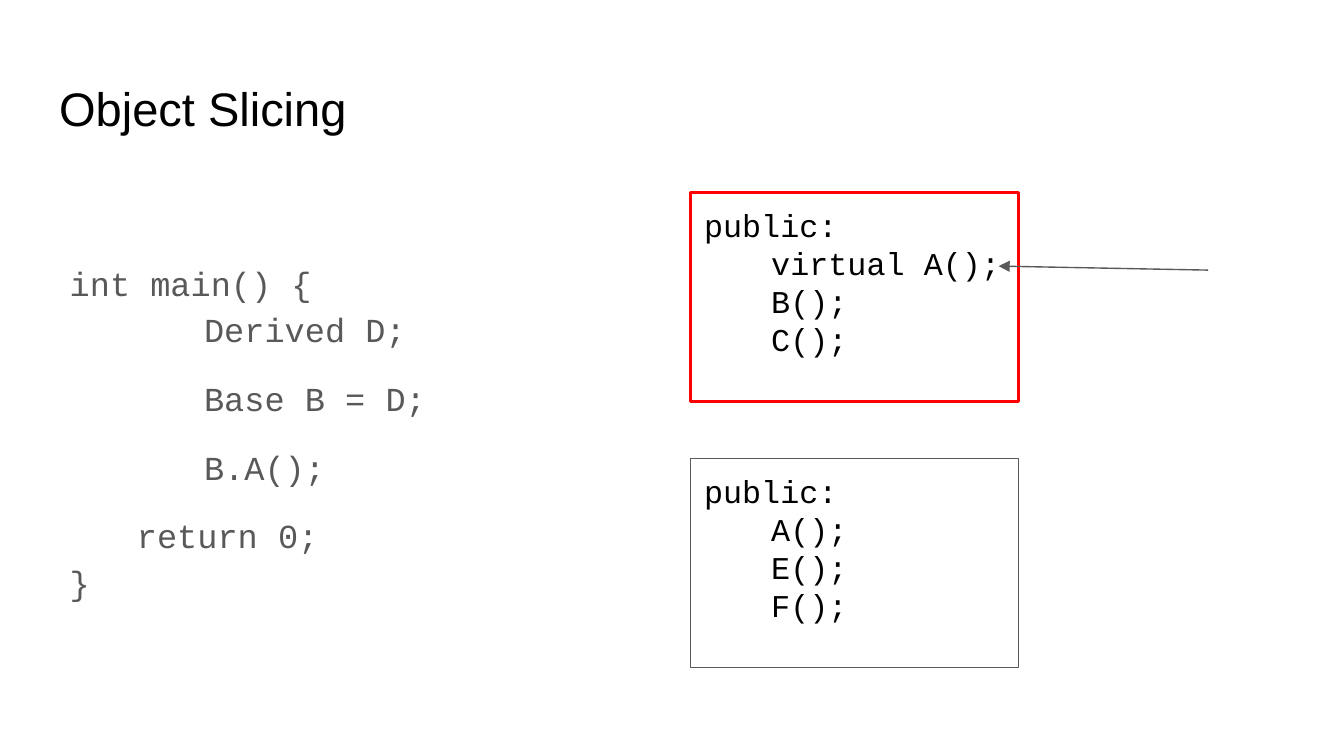
from dataclasses import dataclass

from lxml import etree
from pptx import Presentation
from pptx.dml.color import RGBColor
from pptx.enum.shapes import MSO_CONNECTOR, MSO_SHAPE
from pptx.enum.text import MSO_ANCHOR, PP_ALIGN
from pptx.oxml.ns import qn
from pptx.util import Inches, Pt

RECT = MSO_SHAPE.RECTANGLE
LINE = MSO_CONNECTOR.STRAIGHT
TOP = MSO_ANCHOR.TOP
LEFT = PP_ALIGN.LEFT
SANS, MONO = "Arial", "Courier New"
BLACK, GREY, RED = "000000", "595959", "FF0000"


@dataclass
class Row:
    text: str
    indent: float = 0
    before: float = 0
    after: float = 0


@dataclass
class Card:
    top: float
    edge: str
    width: float
    calls: list[str]


CODE = [
    Row("int main() {\n\tDerived D;"),
    Row("\tBase B = D;", before=12),
    Row("\tB.A();", before=12),
    Row("return 0;\n}", indent=0.5, before=12, after=12),
]
CARDS = [
    Card(1.43, RED, 1.5, ["virtual A();", "B();", "C();"]),
    Card(3.41, GREY, 0.75, ["A();", "E();", "F();"]),
]


def color(code: str) -> RGBColor:
    return RGBColor.from_string(code)


def write(shape, rows: list[Row], font: str, size: float, ink: str,
          space: float = 1) -> None:
    frame = shape.text_frame
    frame.word_wrap = True
    frame.vertical_anchor = TOP
    frame.margin_left = frame.margin_right = Inches(0.1)
    frame.margin_top = frame.margin_bottom = Inches(0.1)
    for i, row in enumerate(rows):
        para = frame.add_paragraph() if i else frame.paragraphs[0]
        para.text = row.text
        para.alignment = LEFT
        para.line_spacing = space
        para.space_before = Pt(row.before)
        para.space_after = Pt(row.after)
        para.font.name = font
        para.font.size = Pt(size)
        para.font.color.rgb = color(ink)
        props = para._p.get_or_add_pPr()
        props.set("marL", "0")
        props.set("indent", str(Inches(row.indent)))
        props.set("defTabSz", str(Inches(1)))


def draw_title(slide, text: str) -> None:
    title = slide.shapes.title
    title.left, title.top = Inches(0.34), Inches(0.49)
    title.width, title.height = Inches(9.32), Inches(0.63)
    write(title, [Row(text)], SANS, 25.2, BLACK)


def draw_code(slide, rows: list[Row]) -> None:
    box = slide.shapes.add_textbox(
        Inches(0.42), Inches(1.81), Inches(2.88), Inches(2.93))
    write(box, rows, MONO, 18, GREY, space=1.15)


def draw_card(slide, card: Card) -> None:
    box = slide.shapes.add_shape(
        RECT, Inches(5.14), Inches(card.top), Inches(2.44), Inches(1.56))
    box.shadow.inherit = False
    box.fill.background()
    box.line.color.rgb = color(card.edge)
    box.line.width = Pt(card.width)
    rows = [Row("public:")] + [Row(call, indent=0.5) for call in card.calls]
    write(box, rows, MONO, 17, BLACK)


def draw_arrow(slide) -> None:
    arrow = slide.shapes.add_connector(
        LINE, Inches(8.99), Inches(2.01), Inches(7.43), Inches(1.98))
    arrow.line.color.rgb = color(GREY)
    arrow.line.width = Pt(0.75)
    etree.SubElement(arrow.line._get_or_add_ln(), qn("a:tailEnd"), type="triangle")
    etree.SubElement(arrow._element.spPr, qn("a:effectLst"))


def main() -> None:
    deck = Presentation()
    deck.slide_width = Inches(10)
    deck.slide_height = deck.slide_width * 9 // 16
    slide = deck.slides.add_slide(deck.slide_layouts[5])
    draw_title(slide, "Object Slicing")
    draw_code(slide, CODE)
    for card in CARDS:
        draw_card(slide, card)
    draw_arrow(slide)
    deck.save("out.pptx")


if __name__ == "__main__":
    main()
